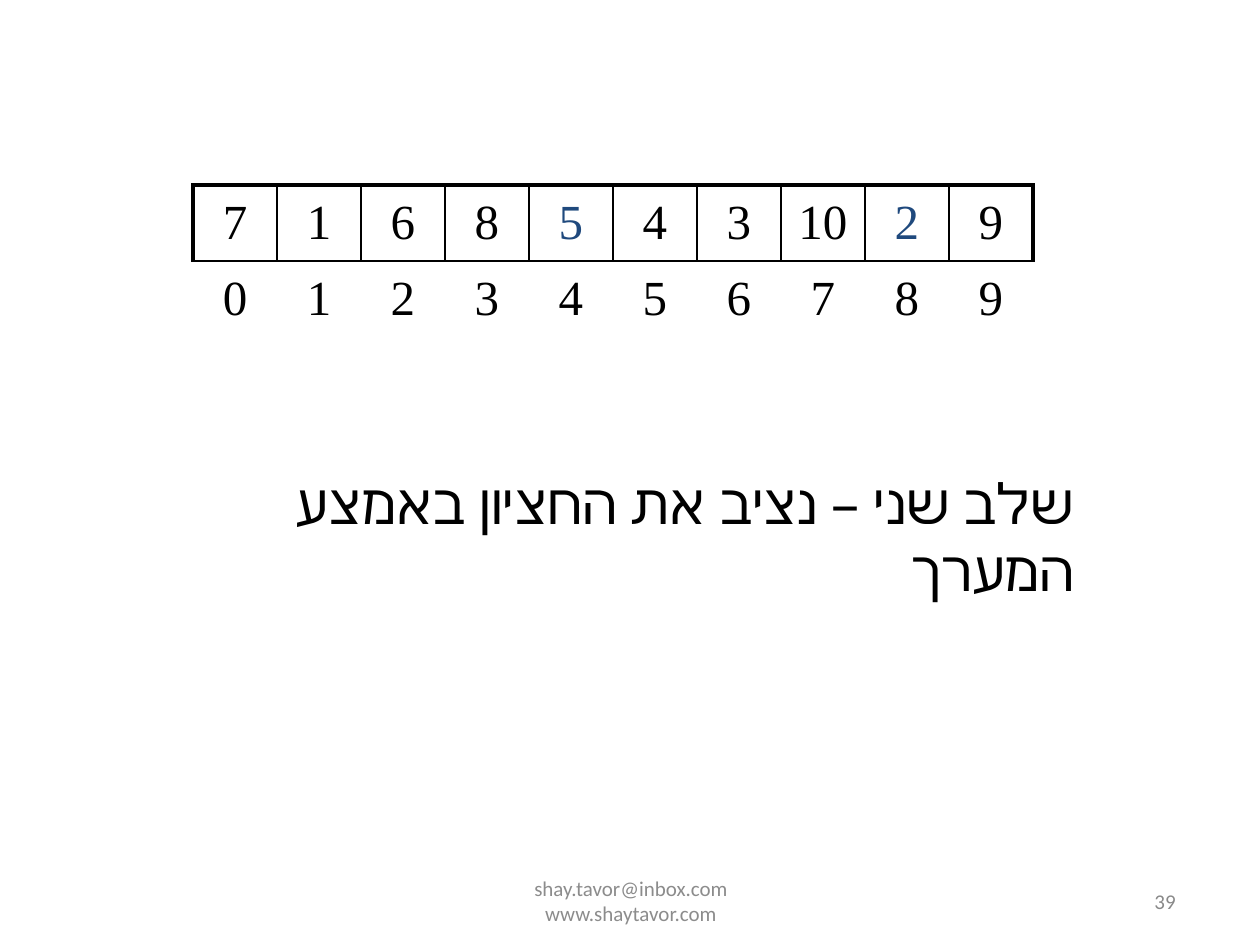
from lxml.etree import SubElement
from pptx import Presentation
from pptx.dml.color import RGBColor
from pptx.enum.text import MSO_ANCHOR, PP_ALIGN
from pptx.oxml.ns import qn
from pptx.util import Emu, Pt

PX = 914400 // 126
BLACK = RGBColor(0x00, 0x00, 0x00)
NAVY = RGBColor(0x1F, 0x49, 0x7D)
FOOTER_GRAY = RGBColor(0x8C, 0x8C, 0x8C)
NUMBER_GRAY = RGBColor(0x89, 0x89, 0x89)
SERIF = "Times New Roman"
SANS = "Calibri"

ARRAY_VALUES = [7, 1, 6, 8, 5, 4, 3, 10, 2, 9]
MARKED_INDEXES = {4, 8}
THIN, THICK = 1, 2.25


def px(length):
    return Emu(length * PX)


def write(text_frame, text, *, font, size, color, align, rtl=False):
    paragraph = text_frame.paragraphs[0]
    paragraph.text = text
    paragraph.alignment = align
    if rtl:
        paragraph._p.get_or_add_pPr().set("rtl", "1")
    for run in paragraph.runs:
        run.font.name = font
        run.font.size = Pt(size)
        run.font.color.rgb = color


def add_label(slide, box, text, *, anchor=MSO_ANCHOR.TOP, **text_format):
    text_box = slide.shapes.add_textbox(*map(px, box))
    text_box.text_frame.word_wrap = True
    text_box.text_frame.vertical_anchor = anchor
    write(text_box.text_frame, text, **text_format)


def set_borders(cell, **widths):
    """Draw the named sides (L, R, T, B) in black and hide the others."""
    properties = cell._tc.get_or_add_tcPr()
    for side in "LRTB":
        line = SubElement(properties, qn(f"a:ln{side}"))
        if side in widths:
            line.set("w", str(Pt(widths[side])))
            fill = SubElement(line, qn("a:solidFill"))
            SubElement(fill, qn("a:srgbClr")).set("val", str(BLACK))
        else:
            line.set("w", "0")
            SubElement(line, qn("a:noFill"))


def add_array(slide, box, values, marked):
    """Place a row of bordered values above a row of their indexes."""
    count = len(values)
    left, top, width, height = map(px, box)
    table = slide.shapes.add_table(2, count, left, top, width, height).table
    table.first_row = False
    table.horz_banding = False
    for index, value in enumerate(values):
        value_cell, index_cell = table.cell(0, index), table.cell(1, index)
        set_borders(
            value_cell,
            L=THICK if index == 0 else THIN,
            R=THICK if index == count - 1 else THIN,
            T=THICK,
            B=THIN,
        )
        set_borders(index_cell, T=THIN)
        value_color = NAVY if index in marked else BLACK
        for cell, number, color in (
            (value_cell, value, value_color),
            (index_cell, index, BLACK),
        ):
            cell.fill.background()
            cell.vertical_anchor = MSO_ANCHOR.MIDDLE
            write(cell.text_frame, str(number), font=SERIF, size=28,
                  color=color, align=PP_ALIGN.CENTER)


def add_footer(slide, box):
    """Place the contact lines and, at the right end, the slide number."""
    left, top, width, height = box
    number_width = 55
    add_label(slide, (left, top, 400, height),
              "shay.tavor@inbox.com\vwww.shaytavor.com",
              anchor=MSO_ANCHOR.MIDDLE, font=SANS, size=12,
              color=FOOTER_GRAY, align=PP_ALIGN.CENTER)
    add_label(slide, (left + width - number_width, top, number_width, height),
              "39", anchor=MSO_ANCHOR.MIDDLE, font=SANS, size=12,
              color=NUMBER_GRAY, align=PP_ALIGN.LEFT)


def main():
    presentation = Presentation()
    presentation.slide_width = px(1260)
    presentation.slide_height = px(945)
    slide = presentation.slides.add_slide(presentation.slide_layouts[6])
    add_array(slide, (193, 185, 840, 152), ARRAY_VALUES, MARKED_INDEXES)
    add_label(slide, (184, 462, 903, 80),
              "שלב שני – נציב את החציון באמצע המערך",
              font=SERIF, size=32, color=BLACK,
              align=PP_ALIGN.RIGHT, rtl=True)
    add_footer(slide, (431, 876, 766, 50))
    presentation.save("out.pptx")


if __name__ == "__main__":
    main()
